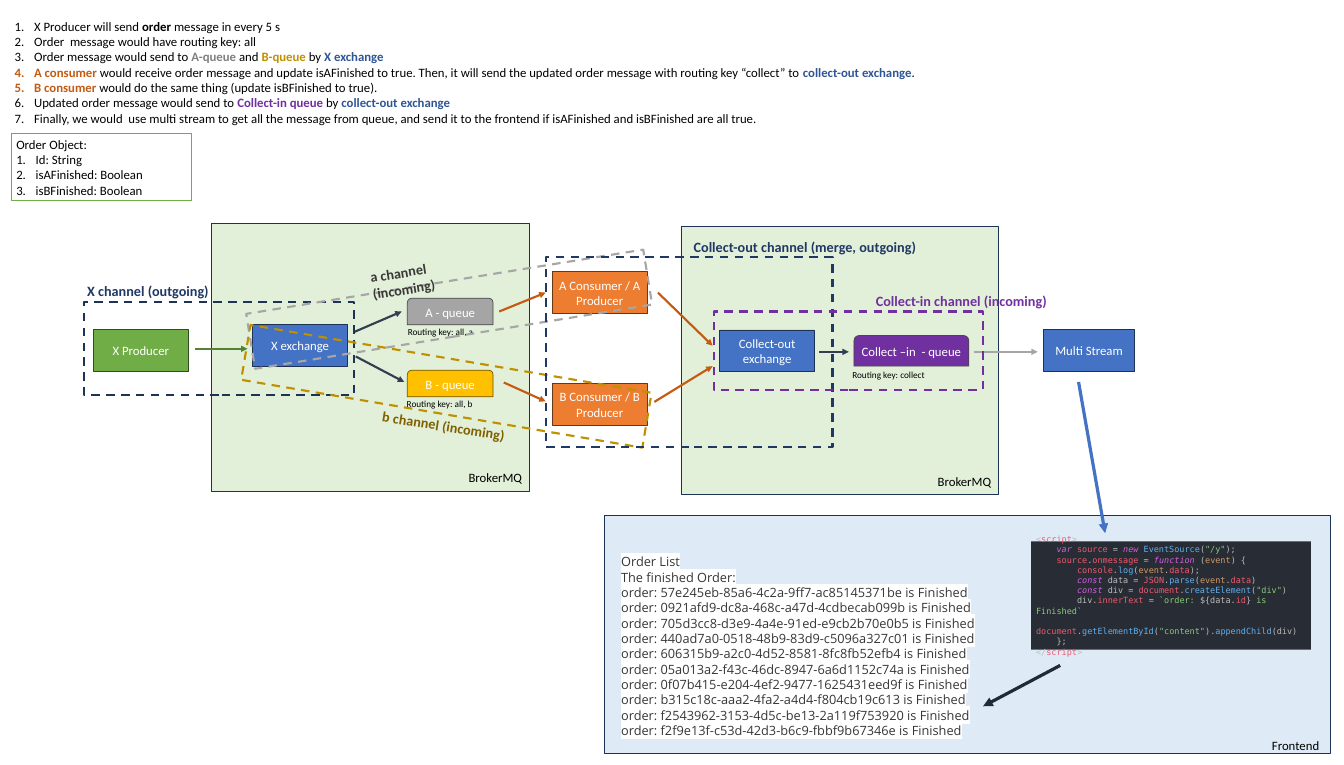
import pptx
import pptx.dml.color
import pptx.enum.dml
import pptx.enum.shapes
import pptx.enum.text
import pptx.oxml.ns
import pptx.util
from lxml import etree

Inches, Pt = pptx.util.Inches, pptx.util.Pt
RGB = pptx.dml.color.RGBColor.from_string
SHAPE = pptx.enum.shapes.MSO_SHAPE
ALIGN = pptx.enum.text.PP_ALIGN
ANCHOR = pptx.enum.text.MSO_ANCHOR
qn = pptx.oxml.ns.qn

BLACK, WHITE = RGB("000000"), RGB("FFFFFF")
NAVY, DEEP_NAVY, BLUE, LINK_BLUE = RGB("1E3256"), RGB("203864"), RGB("4472C4"), RGB("2F5597")
GREEN, DARK_GREEN, ARROW_GREEN = RGB("70AD47"), RGB("314C1F"), RGB("548235")
ORANGE, DARK_ORANGE, RUST = RGB("ED7D31"), RGB("683715"), RGB("C55A11")
GRAY, DARK_GRAY, LIGHT_GRAY, MID_GRAY = RGB("A5A5A5"), RGB("484848"), RGB("A6A6A6"), RGB("808080")
YELLOW, BROWN, GOLD, OLIVE = RGB("FFC000"), RGB("705400"), RGB("BF9000"), RGB("806000")
PURPLE, SLATE, DARK_SLATE = RGB("7030A0"), RGB("333F50"), RGB("222A35")
CHARCOAL, INK = RGB("3B3838"), RGB("363636")
PALE_GREEN, PALE_BLUE = RGB("E2F0D9"), RGB("DEEBF7")
CODE_BG, CODE_TEXT, CODE_RED, CODE_VIOLET = RGB("282C34"), RGB("BBBBBB"), RGB("EF596F"), RGB("D55FDE")
CODE_BLUE, CODE_GREEN, CODE_AMBER = RGB("61AFEF"), RGB("89CA78"), RGB("D19A66")


class Diagram:
    def __init__(self, slide, font="Calibri", size=18):
        self.slide, self.font, self.size = slide, font, size

    def fill_text(self, sp, paragraphs, color=BLACK, size=None, font=None, bold=False,
                  align=ALIGN.LEFT, anchor=ANCHOR.TOP, wrap=True, numbered_from=None, highlight=None):
        """A paragraph is a string or a list of strings and (text, colour, style) runs."""
        tf = sp.text_frame
        tf.word_wrap, tf.vertical_anchor = wrap, anchor
        for i, runs in enumerate(paragraphs):
            p = tf.add_paragraph() if i else tf.paragraphs[0]
            p.alignment = align
            p.font.name, p.font.size = font or self.font, Pt(size or self.size)
            p.font.bold, p.font.color.rgb = bold, color
            if numbered_from is not None and i >= numbered_from:
                self.number(p)
            for run in [runs] if isinstance(runs, str) else runs:
                text, run_color, style = (run, None, "") if isinstance(run, str) else run
                r = p.add_run()
                r.text = text
                if run_color is not None:
                    r.font.color.rgb = run_color
                if style == "b":
                    r.font.bold = True
                if style == "i":
                    r.font.italic = True
                if highlight is not None:
                    mark = etree.SubElement(r.font._element, qn("a:highlight"))
                    etree.SubElement(mark, qn("a:srgbClr"), val=str(highlight))

    def number(self, p):
        """Give the paragraph an automatic number with a hanging indent."""
        pPr = p._p.get_or_add_pPr()
        pPr.set("marL", str(Inches(0.38)))
        pPr.set("indent", str(Inches(-0.38)))
        num = pPr.makeelement(qn("a:buAutoNum"), {"type": "arabicPeriod"})
        pPr.find(qn("a:defRPr")).addprevious(num)

    def box(self, x, y, w, h, fill=None, line=None, kind=SHAPE.RECTANGLE, width=1):
        sp = self.slide.shapes.add_shape(kind, Inches(x), Inches(y), Inches(w), Inches(h))
        sp.shadow.inherit = False
        for part, color in ((sp.fill, fill), (sp.line.fill, line)):
            if color is None:
                part.background()
            else:
                part.solid()
                part.fore_color.rgb = color
        if line is not None:
            sp.line.width = Pt(width)
        return sp

    def node(self, text, x, y, w, h, fill, line, kind=SHAPE.RECTANGLE):
        sp = self.box(x, y, w, h, fill, line, kind)
        self.fill_text(sp, [text], WHITE, align=ALIGN.CENTER, anchor=ANCHOR.MIDDLE)

    def frame(self, x, y, w, h, line, rotation=0):
        sp = self.box(x, y, w, h, line=line, width=3)
        sp.line.dash_style = pptx.enum.dml.MSO_LINE.DASH
        sp.rotation = rotation

    def text(self, paragraphs, x, y, w, h, rotation=0, **style):
        sp = self.slide.shapes.add_textbox(Inches(x), Inches(y), Inches(w), Inches(h))
        sp.rotation = rotation
        self.fill_text(sp, paragraphs, **style)

    def arrow(self, x1, y1, x2, y2, color, width=3):
        cn = self.slide.shapes.add_connector(pptx.enum.shapes.MSO_CONNECTOR.STRAIGHT,
                                             Inches(x1), Inches(y1), Inches(x2), Inches(y2))
        cn.line.color.rgb, cn.line.width = color, Pt(width)
        etree.SubElement(cn.line._get_or_add_ln(), qn("a:tailEnd"), type="triangle")
        etree.SubElement(cn._element.spPr, qn("a:effectLst"))


STEPS = [
    ["X Producer will send ", ("order", BLACK, "b"), " message in every 5 s"],
    "Order  message would have routing key: all",
    ["Order message would send to ", ("A-queue", MID_GRAY, "b"), " and ",
     ("B-queue", GOLD, "b"), " by ", ("X exchange", LINK_BLUE, "b")],
    [("A consumer ", RUST, "b"),
     "would receive order message and update isAFinished to true. Then, it will send the updated "
     "order message with routing key “collect” to ", ("collect-out exchange", LINK_BLUE, "b"), "."],
    [("B consumer ", RUST, "b"), "would do the same thing (update isBFinished to true)."],
    ["Updated order message would send to ", ("Collect-in queue ", PURPLE, "b"), "by ",
     ("collect-out exchange", LINK_BLUE, "b")],
    "Finally, we would  use multi stream to get all the message from queue, and send it to the "
    "frontend if isAFinished and isBFinished are all true.",
]
ORDER_IDS = [
    "57e245eb-85a6-4c2a-9ff7-ac85145371be", "0921afd9-dc8a-468c-a47d-4cdbecab099b",
    "705d3cc8-d3e9-4a4e-91ed-e9cb2b70e0b5", "440ad7a0-0518-48b9-83d9-c5096a327c01",
    "606315b9-a2c0-4d52-8581-8fc8fb52efb4", "05a013a2-f43c-46dc-8947-6a6d1152c74a",
    "0f07b415-e204-4ef2-9477-1625431eed9f", "b315c18c-aaa2-4fa2-a4d4-f804cb19c613",
    "f2543962-3153-4d5c-be13-2a119f753920", "f2f9e13f-c53d-42d3-b6c9-fbbf9b67346e",
]


def red(text): return text, CODE_RED, ""
def blue(text): return text, CODE_BLUE, ""
def green(text): return text, CODE_GREEN, ""
def keyword(text): return text, CODE_VIOLET, "i"


EVENT = ("event", CODE_AMBER, "")
SCRIPT = [
    ["<", red("script"), ">"],
    ["    ", keyword("var "), red("source "), "= ", keyword("new "), blue("EventSource"), "(",
     green('"/y"'), ");"],
    ["    ", red("source"), ".", red("onmessage "), "= ", keyword("function "), "(", EVENT, ") {"],
    ["        ", red("console"), ".", blue("log"), "(", EVENT, ".", red("data"), ");"],
    ["        ", keyword("const "), "data = ", red("JSON"), ".", blue("parse"), "(", EVENT, ".",
     red("data"), ")"],
    ["        ", keyword("const "), "div = ", red("document"), ".", blue("createElement"), "(",
     green('"div"'), ")"],
    ["        div.", red("innerText "), "= ", green("`order: "), "${data.", red("id"), "}",
     green(" is Finished`")],
    ["        ", red("document"), ".", blue("getElementById"), "(", green('"content"'), ").",
     blue("appendChild"), "(div)"],
    "    };",
    ["</", red("script"), ">"],
]


def main():
    prs = pptx.Presentation()
    prs.slide_width, prs.slide_height = Inches(26.33), Inches(14.98)
    d = Diagram(prs.slides.add_slide(prs.slide_layouts[6]))

    for x, y in ((13.34, 4.44), (4.15, 4.37)):
        d.box(x, y, 6.22, 5.25, PALE_GREEN, NAVY)
        d.text(["BrokerMQ"], x + 4.93, y + 4.78, 1.25, 0.4)

    for text, x, y, w, fill, line in (
            ("X exchange", 4.95, 6.36, 1.86, BLUE, NAVY),
            ("X Producer", 1.83, 6.45, 1.86, GREEN, DARK_GREEN),
            ("A Consumer / A Producer", 10.82, 5.32, 1.86, ORANGE, DARK_ORANGE),
            ("B Consumer / B Producer", 10.82, 7.51, 1.86, ORANGE, DARK_ORANGE),
            ("Collect-out exchange", 14.1, 6.46, 1.86, BLUE, NAVY),
            ("Multi Stream", 20.44, 6.45, 1.79, BLUE, NAVY)):
        d.node(text, x, y, w, 0.82, fill, line)

    for text, x, y, w, h, fill, line in (
            ("A - queue", 7.98, 5.84, 1.68, 0.52, GRAY, DARK_GRAY),
            ("B - queue", 7.98, 7.25, 1.68, 0.52, YELLOW, BROWN),
            ("Collect –in  - queue", 16.73, 6.57, 2.25, 0.6, PURPLE, DARK_GRAY)):
        d.node(text, x, y, w, h, fill, line, SHAPE.ROUND_2_SAME_RECTANGLE)
    for key, x, y in (("all, a", 7.89, 6.33), ("all, b", 7.87, 7.74), ("collect", 16.6, 7.19)):
        d.text([f"Routing key: {key}"], x, y, 2.06, 0.32, size=13)

    d.box(11.84, 10.09, 14.22, 4.66, PALE_BLUE, NAVY)
    d.text(["Frontend"], 24.82, 14.4, 1.37, 0.36)
    d.fill_text(d.box(20.2, 10.6, 5.48, 2.12, CODE_BG), SCRIPT, CODE_TEXT, 12, "DejaVu Sans Mono",
                anchor=ANCHOR.MIDDLE)
    finished = [f"order: {order_id} is Finished" for order_id in ORDER_IDS]
    d.text(["Order List", "The finished Order:"] + finished, 12.07, 10.8, 7.63, 3.74,
           font="Open Sans", color=INK, highlight=WHITE)

    for x1, y1, x2, y2, color in (
            (3.82, 6.83, 4.85, 6.83, ARROW_GREEN),
            (6.94, 6.5, 7.87, 6.1, SLATE), (6.97, 6.98, 7.92, 7.48, SLATE),
            (9.78, 6.1, 10.69, 5.73, RUST), (9.87, 7.49, 10.69, 7.86, RUST),
            (12.89, 5.73, 13.96, 6.77, RUST), (12.82, 7.87, 13.96, 7.17, RUST),
            (16.05, 6.89, 16.63, 6.89, SLATE), (19.08, 6.89, 20.33, 6.89, LIGHT_GRAY)):
        d.arrow(x1, y1, x2, y2, color)
    d.arrow(21.13, 7.48, 21.65, 10.44, BLUE, 4.5)
    d.arrow(20.77, 13.03, 19.26, 13.83, DARK_SLATE, 4.5)

    d.frame(1.64, 5.91, 5.3, 1.82, NAVY)
    d.frame(4.86, 5.51, 7.88, 1.09, LIGHT_GRAY, 350.8)
    d.frame(4.76, 7.02, 7.97, 1.09, GOLD, 9.6)
    d.frame(10.69, 5.04, 5.62, 3.71, DEEP_NAVY)
    d.frame(13.98, 6.1, 5.28, 1.53, PURPLE)
    for text, x, y, w, rotation, color in (
            ("X channel (outgoing)", 1.61, 5.48, 2.74, 0, DEEP_NAVY),
            ("a channel (incoming)", 7.14, 5.03, 2.58, 351.2, CHARCOAL),
            ("b channel (incoming)", 7.38, 8.15, 3, 8.9, OLIVE),
            ("Collect-out channel (merge, outgoing)", 13.49, 4.61, 4.78, 0, DEEP_NAVY),
            ("Collect-in channel (incoming)", 17.06, 5.68, 3.6, 0, PURPLE)):
        d.text([text], x, y, w, 0.44, rotation, color=color, size=20, bold=True)

    d.text(STEPS, 0.19, 0.31, 18.03, 2.52, wrap=False, numbered_from=0)
    d.fill_text(d.box(0.22, 2.62, 3.52, 1.31, WHITE, GREEN),
                ["Order Object:", "Id: String", "isAFinished: Boolean", "isBFinished: Boolean"],
                numbered_from=1)

    prs.save("out.pptx")


if __name__ == "__main__":
    main()
